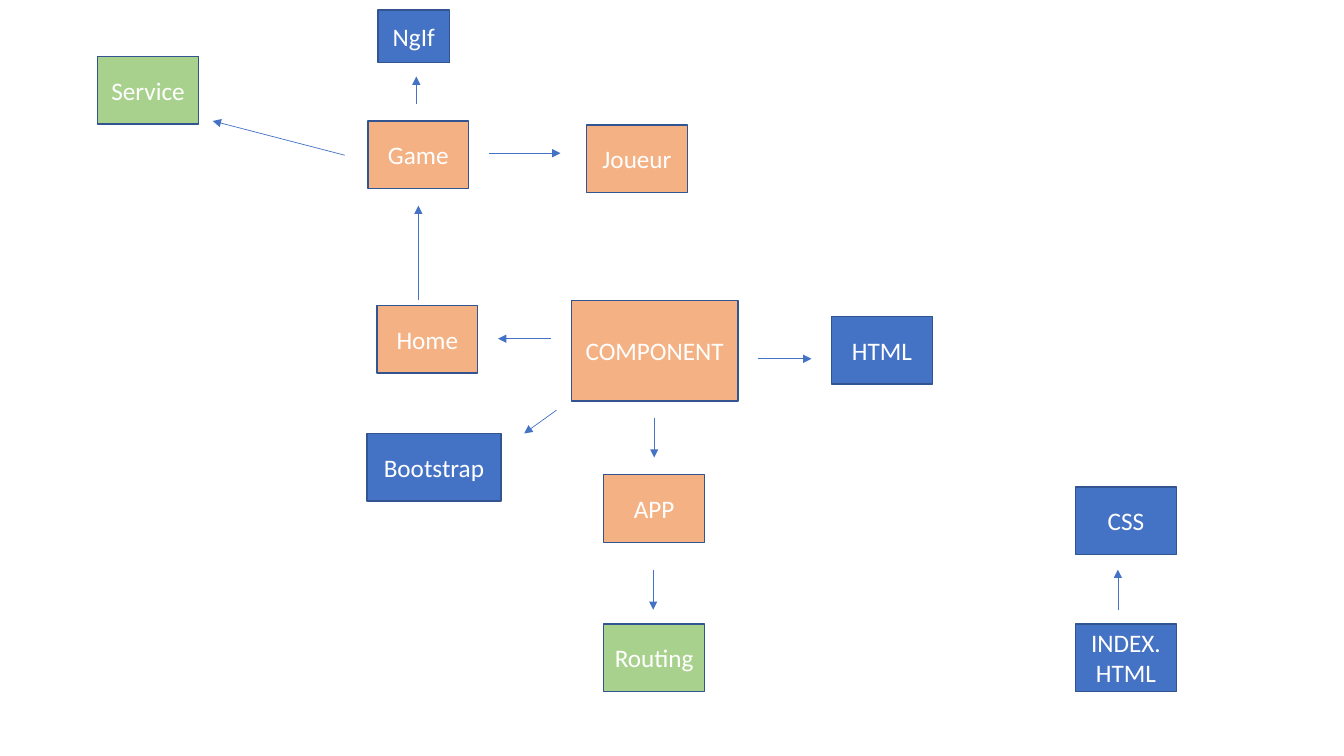
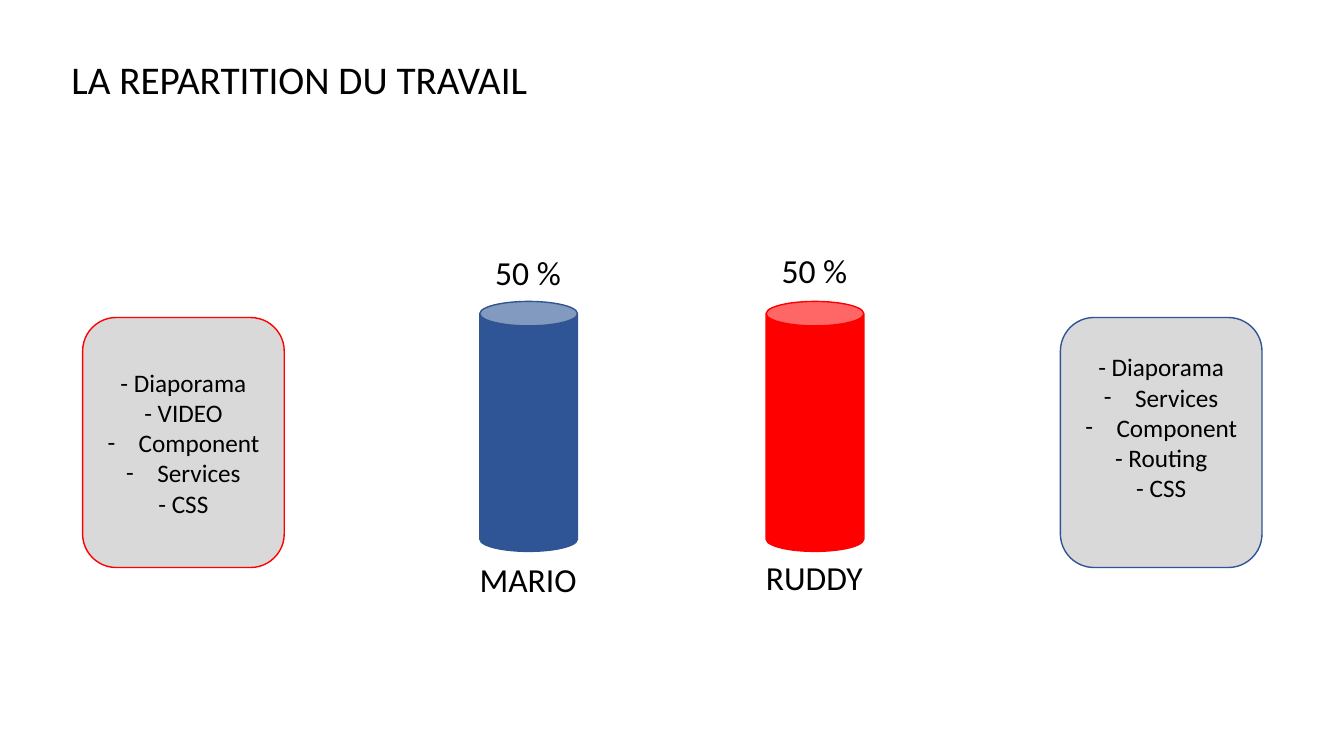
from lxml import etree
from pptx import Presentation
from pptx import util as u
from pptx.dml.color import RGBColor
from pptx.enum import shapes, text
from pptx.oxml import ns

# The grid: 133.33 columns by 75 rows of a tenth of an inch.
COLUMNS, ROWS = 133.33, 75
FONT = "Calibri"
WHITE, BLACK, GREY = "FFFFFF", "000000", "D9D9D9"
ORANGE, GREEN, BLUE = "F4B183", "A9D18E", "4472C4"
NAVY, RED, EDGE = "2F5597", "FF0000", "325491"
NODE_WIDTH, NODE_HEIGHT = 10, 6.7
SHAPE, ALIGN = shapes.MSO_SHAPE, text.PP_ALIGN


def cells(count):
    return u.Inches(count / 10)


def color(hex_string):
    return RGBColor.from_string(hex_string)


def add_child(parent, tag, **attributes):
    return etree.SubElement(parent, ns.qn(tag), attributes)


def write(frame, *lines, size=18, ink=BLACK, align=ALIGN.LEFT):
    """Write one paragraph a line; a line given as a list holds a bulleted item."""
    for index, line in enumerate(lines):
        para = frame.paragraphs[0] if index == 0 else frame.add_paragraph()
        para.alignment = align
        bulleted = isinstance(line, list)
        span = para.add_run()
        span.text = line[0] if bulleted else line
        span.font.name = FONT
        span.font.size = u.Pt(size)
        span.font.color.rgb = color(ink)
        if bulleted:
            properties = para._p.get_or_add_pPr()
            indent = u.Inches(0.31)
            properties.set("marL", str(indent))
            properties.set("indent", str(-indent))
            add_child(properties, "a:buFont", typeface=FONT)
            add_child(properties, "a:buChar", char="-")


def add_box(page, kind, left, top, width, height, fill, line):
    box = page.shapes.add_shape(kind, *map(cells, (left, top, width, height)))
    box.shadow.inherit = False
    box.fill.solid()
    box.fill.fore_color.rgb = color(fill)
    box.line.color.rgb = color(line)
    box.line.width = u.Pt(1)
    box.text_frame.word_wrap = True
    box.text_frame.vertical_anchor = text.MSO_ANCHOR.MIDDLE
    return box


def add_label(page, words, left, top, width, height=5, **style):
    label = page.shapes.add_textbox(*map(cells, (left, top, width, height)))
    label.text_frame.word_wrap = False
    label.text_frame.auto_size = text.MSO_AUTO_SIZE.SHAPE_TO_FIT_TEXT
    write(label.text_frame, words, **style)


def add_arrow(page, start, end):
    arrow = page.shapes.add_connector(
        shapes.MSO_CONNECTOR.STRAIGHT, *map(cells, (*start, *end)))
    arrow.line.color.rgb = color(BLUE)
    arrow.line.width = u.Pt(0.5)
    add_child(arrow.line._get_or_add_ln(), "a:tailEnd", type="triangle")
    add_child(arrow._element.spPr, "a:effectLst")


def add_cluster(page, left, top, nodes, arrows):
    """Place nodes (words, fill, column, row, size if unusual) and arrows from a corner."""
    for words, fill, column, row, *size in nodes:
        width, height = size or (NODE_WIDTH, NODE_HEIGHT)
        kind = SHAPE.RECTANGLE if words == "COMPONENT" else SHAPE.FLOWCHART_PROCESS
        node = add_box(page, kind, left + column, top + row, width, height, fill, EDGE)
        write(node.text_frame, words, ink=WHITE, align=ALIGN.CENTER)
    for ends in arrows:
        add_arrow(page, *[(left + column, top + row) for column, row in ends])


def add_worker(page, left, top, name, fill, line, label_lift=0):
    """Draw a cylinder with its share above and its name below."""
    width, height = 9.7, 24.8
    middle = left + width / 2
    for words, label_width, offset in ((name, 11.7, height + 0.3), ("50 %", 8.6, -5.4)):
        add_label(page, words, middle - label_width / 2,
                  top + offset - label_lift, label_width, size=24)
    add_box(page, SHAPE.CAN, left, top, width, height, fill, line)


def add_tasks(page, left, top, line, tasks, bottom_inset=0.05):
    card = add_box(page, SHAPE.ROUNDED_RECTANGLE, left, top, 20, 24.8, GREY, line)
    card.text_frame.margin_bottom = u.Inches(bottom_inset)
    write(card.text_frame, *tasks, align=ALIGN.CENTER)


def build_architecture(page):
    add_cluster(page, 9.7, 1, [
        ("Service", GREEN, 0, 4.6),
        ("NgIf", BLUE, 27.8, 0, 7.1, 5.2),
        ("Game", ORANGE, 26.8, 11),
        ("Joueur", ORANGE, 48.5, 11.4),
    ], [
        ((24.5, 14.4), (11.4, 11)),
        ((38.8, 14.2), (45.9, 14.2)),
        ((31.6, 9.3), (31.6, 6.6)),
    ])
    add_cluster(page, 36.4, 29.8, [
        ("COMPONENT", ORANGE, 20.3, 0, 16.5, 10),
        ("Home", ORANGE, 1, 0.5),
        ("HTML", BLUE, 46.1, 1.6),
        ("Bootstrap", BLUE, 0, 13.2, 13.3, NODE_HEIGHT),
        ("APP", ORANGE, 23.5, 17.3),
        ("Routing", GREEN, 23.5, 32.1),
    ], [
        ((5.1, 0), (5.1, -9.4)),
        ((18.3, 3.8), (13, 3.8)),
        ((38.8, 5.8), (44.1, 5.8)),
        ((18.8, 10.9), (15.6, 13.2)),
        ((28.5, 11.7), (28.5, 15.6)),
        ((28.4, 26.7), (28.4, 30.7)),
    ])
    add_cluster(page, 106.7, 48.3, [
        ("CSS", BLUE, 0, 0),
        ("INDEX.HTML", BLUE, 0, 13.6),
    ], [((4.2, 12.2), (4.2, 8.2))])


def build_work_split(page):
    add_label(page, "LA REPARTITION DU TRAVAIL", 6.1, 5, 47.8, 5.7, size=28)
    add_worker(page, 47.6, 29.9, "MARIO", NAVY, EDGE)
    add_worker(page, 76, 29.9, "RUDDY", RED, RED, label_lift=0.2)
    add_tasks(page, 8.2, 31.5, RED,
              ["- Diaporama", "- VIDEO", ["Component"], ["Services"], "- CSS"])
    add_tasks(page, 105.2, 31.5, NAVY,
              ["- Diaporama", ["Services"], ["Component"], "- Routing", "- CSS"],
              bottom_inset=0.35)


def main():
    deck = Presentation()
    deck.slide_width, deck.slide_height = cells(COLUMNS), cells(ROWS)
    for build in (build_architecture, build_work_split):
        build(deck.slides.add_slide(deck.slide_layouts[6]))
    deck.save("out.pptx")


if __name__ == "__main__":
    main()
